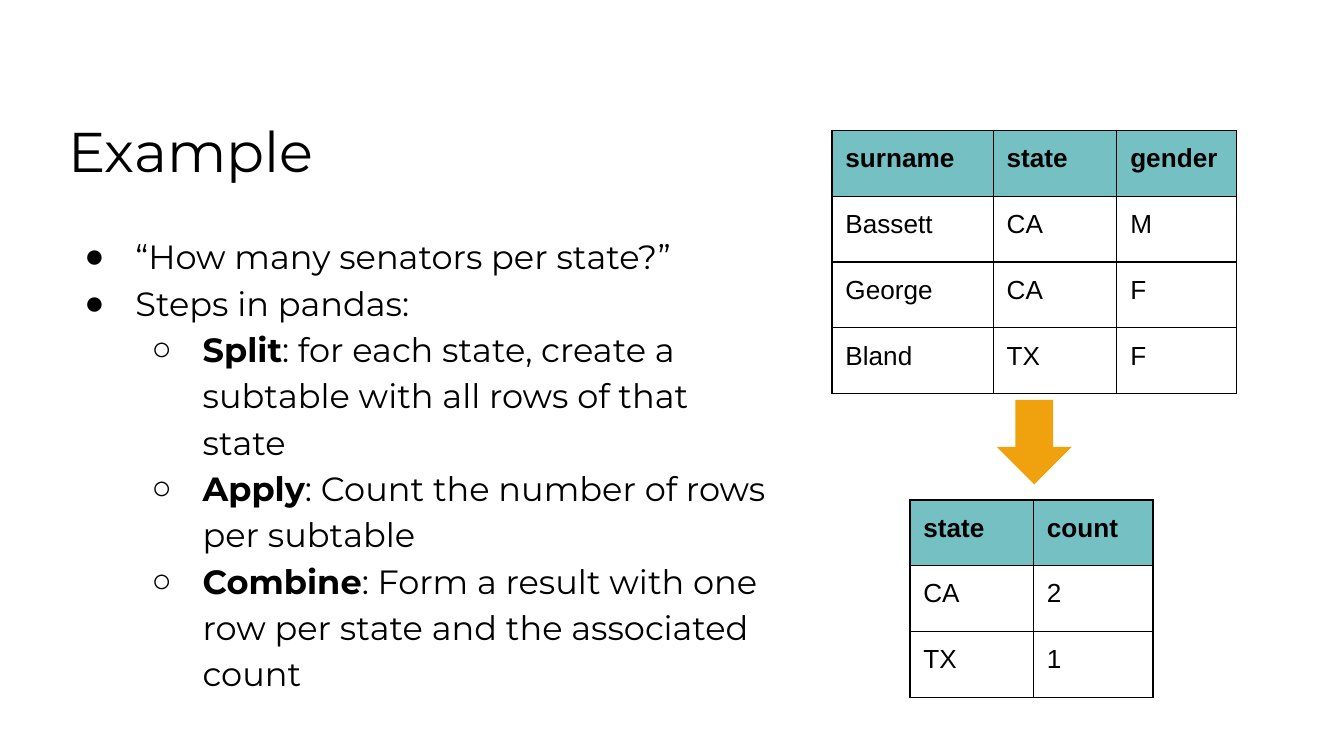
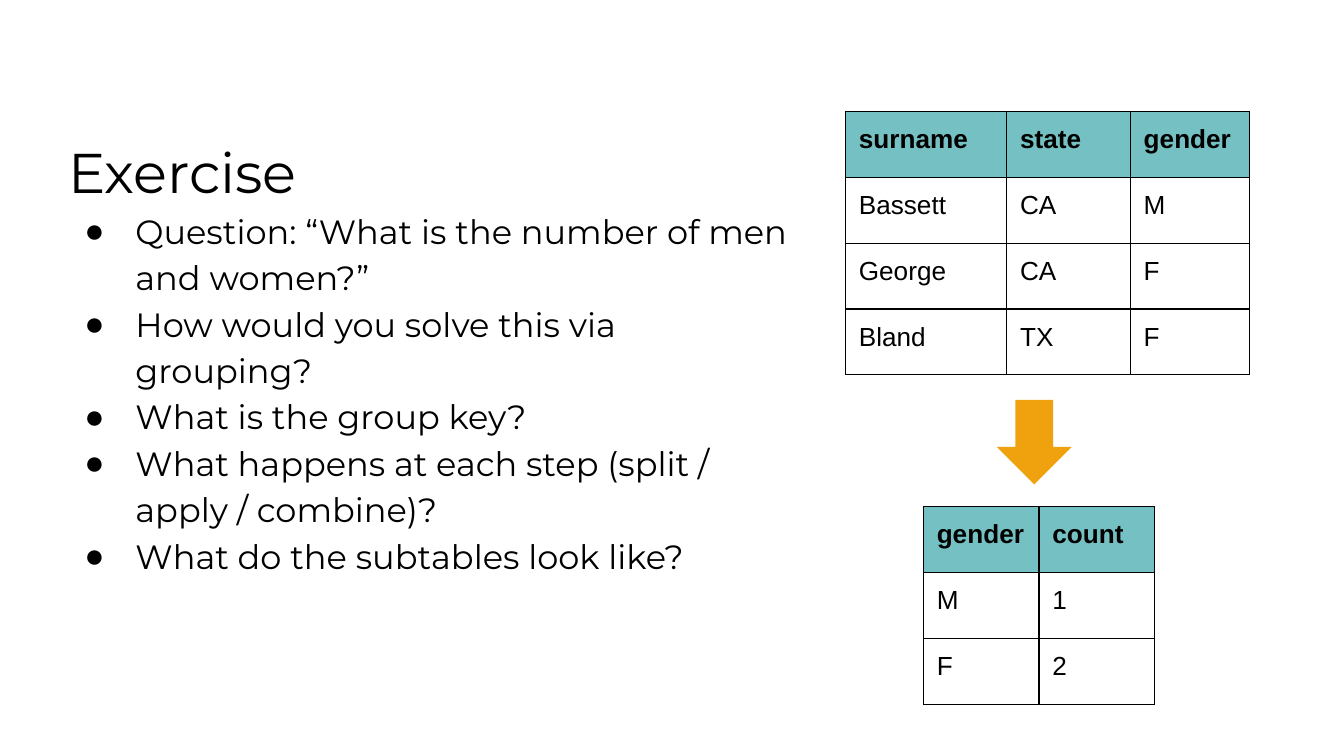
from lxml.etree import SubElement as Sub
from pptx import Presentation
from pptx.dml.color import RGBColor
from pptx.enum.shapes import MSO_SHAPE as Shape
from pptx.enum.text import MSO_ANCHOR as Anchor
from pptx.oxml.ns import qn
from pptx.util import Inches, Pt

# Content: bullets are (level, bold lead, text)
SENATORS = [
    ("surname", "state", "gender"),
    ("Bassett", "CA", "M"),
    ("George", "CA", "F"),
    ("Bland", "TX", "F"),
]
SLIDES = [
    {
        "title": "Example",
        "gap": 25,
        "box": (0.41, 0.69, 5.47, 4.49),
        "bullets": [
            (0, "", "“How many senators per state?”"),
            (0, "", "Steps in pandas:"),
            (1, "Split", ": for each state, create a subtable with all rows of that state"),
            (1, "Apply", ": Count the number of rows per subtable"),
            (1, "Combine", ": Form a result with one row per state and the associated count"),
        ],
        "source": (6.19, 0.97),
        "result": (6.77, 3.72),
        "widths": (0.92, 0.89),
        "counts": [("state", "count"), ("CA", "2"), ("TX", "1")],
    },
    {
        "title": "Exercise",
        "gap": 0,
        "box": (0.41, 0.85, 5.63, 4.29),
        "bullets": [
            (0, "", "Question: “What is the number of men and women?”"),
            (0, "", "How would you solve this via grouping?"),
            (0, "", "What is the group key?"),
            (0, "", "What happens at each step (split / apply / combine)?"),
            (0, "", "What do the subtables look like?"),
        ],
        "source": (6.29, 0.83),
        "result": (6.87, 3.77),
        "widths": (0.86, 0.86),
        "counts": [("gender", "count"), ("M", "1"), ("F", "2")],
    },
]

# Shared style
BLACK = RGBColor(0x00, 0x00, 0x00)
TEAL = RGBColor(0x74, 0xC0, 0xC2)
ORANGE = RGBColor(0xEF, 0xA2, 0x0E)
WHITE = RGBColor(0xFF, 0xFF, 0xFF)
HEAD, BODY = "Montserrat", "Arial"
WIDE = Inches(10)
WIDTHS = (1.2, 0.92, 0.89)
ROW = 0.49
ARROW = (7.38, 3.01, 0.63, 0.56)
MARKS = "●○"


def style(run, font, size, bold=False):
    run.font.name = font
    run.font.size = Pt(size)
    run.font.bold = bold
    run.font.color.rgb = BLACK


def pad(part):
    part.margin_left = part.margin_right = Inches(0.1)
    part.margin_top = part.margin_bottom = Inches(0.1)


def solid(parent, color):
    Sub(Sub(parent, qn("a:solidFill")), qn("a:srgbClr"), val=str(color))


def add_bullet(para, level):
    props = para._p.get_or_add_pPr()
    props.set("marL", str(Inches(0.5 * (level + 1))))
    props.set("indent", str(Inches(-0.38)))
    Sub(Sub(props, qn("a:buClr")), qn("a:srgbClr"), val=str(BLACK))
    Sub(props, qn("a:buFont"), typeface=BODY)
    Sub(props, qn("a:buChar"), char=MARKS[level])


def add_text(slide, page):
    frame = slide.shapes.add_textbox(*map(Inches, page["box"])).text_frame
    frame.word_wrap = True
    frame.vertical_anchor = Anchor.TOP
    pad(frame)
    title = frame.paragraphs[0]
    title.text = page["title"]
    title.line_spacing = 1.15
    title.space_after = Pt(page["gap"])
    style(title.runs[0], HEAD, 30)
    for level, lead, text in page["bullets"]:
        para = frame.add_paragraph()
        para.level = level
        para.line_spacing = 1.15
        add_bullet(para, level)
        for words, bold in ((lead, True), (text, False)):
            if words:
                run = para.add_run()
                run.text = words
                style(run, HEAD, 18, bold)


def add_borders(cell):
    props = cell._tc.get_or_add_tcPr()
    for side in ("lnL", "lnR", "lnT", "lnB"):
        solid(Sub(props, qn("a:" + side), w=str(Pt(0.75))), BLACK)


def add_grid(slide, place, widths, rows):
    size = (sum(widths), ROW * len(rows))
    table = slide.shapes.add_table(
        len(rows), len(widths), *map(Inches, place + size)).table
    table.first_row = table.horz_banding = False
    for col, width in zip(table.columns, widths):
        col.width = Inches(width)
    for r, row in enumerate(rows):
        table.rows[r].height = Inches(ROW)
        for c, text in enumerate(row):
            cell = table.cell(r, c)
            cell.text = text
            style(cell.text_frame.paragraphs[0].runs[0], BODY, 14, r == 0)
            pad(cell)
            add_borders(cell)
            if r == 0:
                cell.fill.solid()
                cell.fill.fore_color.rgb = TEAL
            else:
                cell.fill.background()


def add_arrow(slide):
    arrow = slide.shapes.add_shape(Shape.RIGHT_ARROW, *map(Inches, ARROW))
    arrow.rotation = 90
    arrow.shadow.inherit = False
    arrow.fill.solid()
    arrow.fill.fore_color.rgb = ORANGE
    arrow.line.fill.background()


def main():
    deck = Presentation()
    # Widescreen, 16 to 9
    deck.slide_width, deck.slide_height = WIDE, WIDE * 9 // 16
    for page in SLIDES:
        slide = deck.slides.add_slide(deck.slide_layouts[6])
        slide.background.fill.solid()
        slide.background.fill.fore_color.rgb = WHITE
        add_text(slide, page)
        add_grid(slide, page["source"], WIDTHS, SENATORS)
        add_grid(slide, page["result"], page["widths"], page["counts"])
        add_arrow(slide)
    deck.save("out.pptx")


if __name__ == "__main__":
    main()
